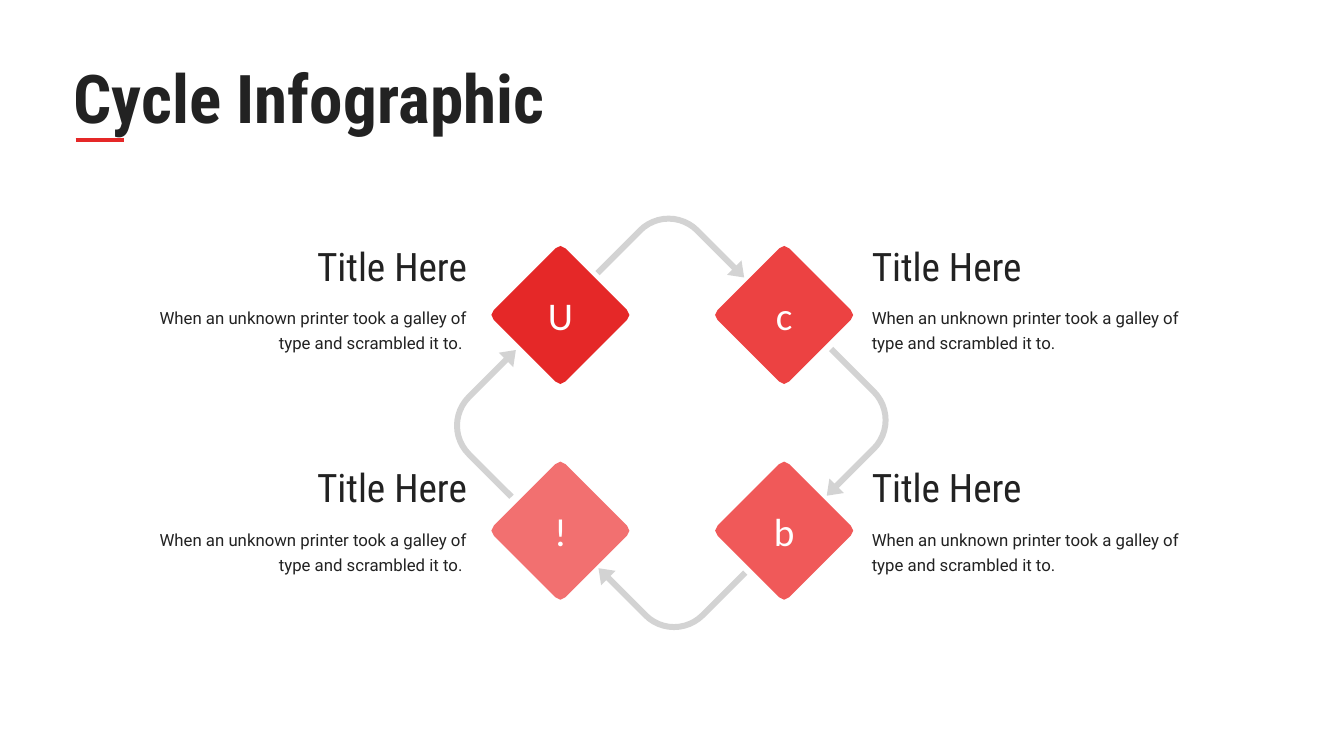
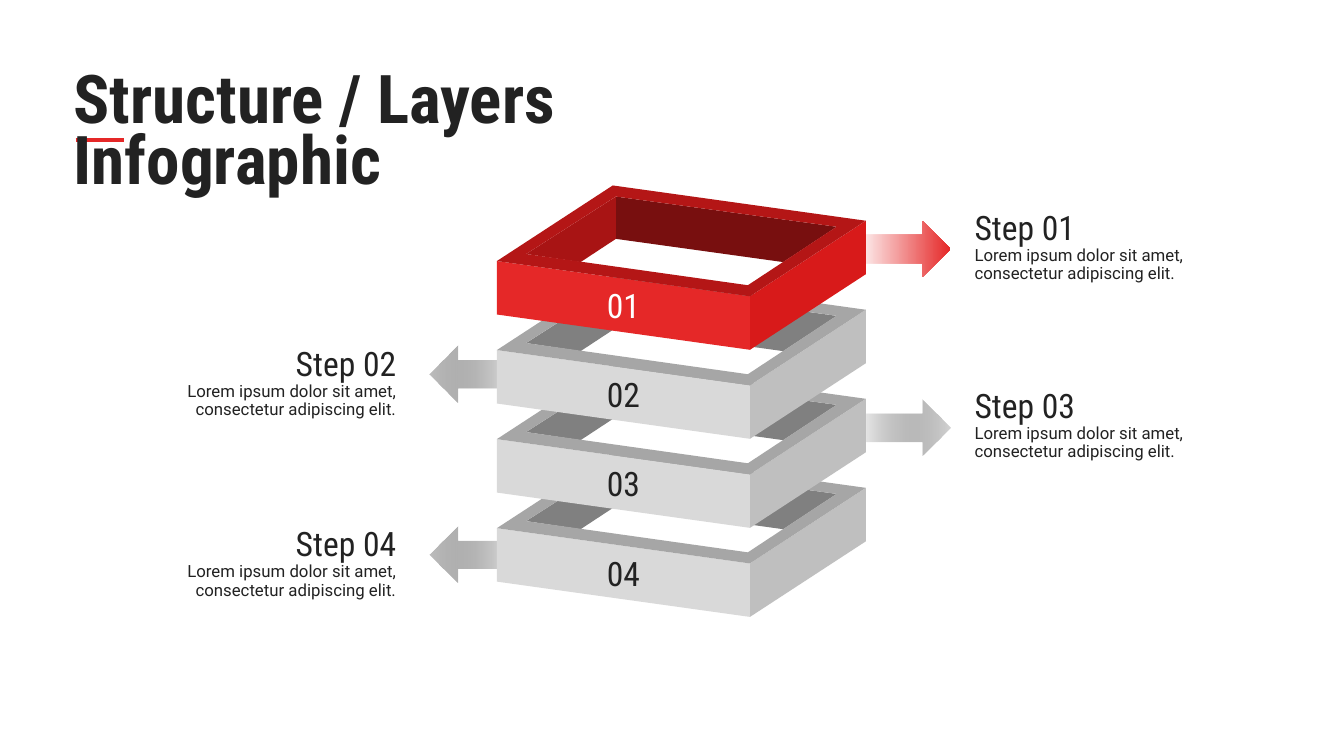
from dataclasses import dataclass
from math import cos, radians, sin

from lxml.etree import SubElement
from pptx import Presentation
from pptx.dml.color import RGBColor
from pptx.enum.shapes import MSO_CONNECTOR, MSO_SHAPE
from pptx.enum.text import MSO_ANCHOR, MSO_AUTO_SIZE, PP_ALIGN
from pptx.oxml.ns import qn
from pptx.util import Emu, Inches, Pt


@dataclass(frozen=True)
class Theme:
    ink: str = "222222"
    white: str = "FFFFFF"
    red: str = "E52828"
    arrow: str = "B2B2B2"
    cycle_reds: tuple = ("E52828", "EC4242", "F05959", "F27070")
    # Layer colours: back wall, right side, left wall, front, rim
    red_layer: tuple = ("780F0F", "D81A1A", "A81414", "E52828", "B41616")
    grey_layer: tuple = ("808080", "BFBFBF", "808080", "D9D9D9", "A6A6A6")
    head_font: str = "Roboto Condensed"
    body_font: str = "Roboto"
    icon_font: str = "Calibri"
    title_size: int = 48
    heading_size: int = 28
    step_size: int = 24
    body_size: int = 12


THEME = Theme()


@dataclass(frozen=True)
class Box:
    """A region in inches; inner() gives a part relative to its corner."""
    left: float
    top: float
    width: float
    height: float

    def inner(self, left, top, width, height):
        return Box(self.left + left, self.top + top, width, height)

    def around(self, x, y, width, height):
        """A part centred at an offset from the middle of the region."""
        return self.inner(self.width / 2 + x - width / 2,
                          self.height / 2 + y - height / 2, width, height)

    def point(self, x, y):
        return Inches(self.left + x), Inches(self.top + y)

    @property
    def emu(self):
        return [Inches(value) for value in
                (self.left, self.top, self.width, self.height)]


TITLE_BOX = Box(0.63, 0.7, 7.79, 0.84)
CYCLE_BOX = Box(1.45, 2.1, 10.44, 4.19)
STACK_BOX = Box(1.3, 1.84, 11, 4.28)


# Shared drawing helpers

def add_alpha(shape, percents):
    colours = shape.element.spPr.iter(qn("a:srgbClr"))
    for colour, percent in zip(list(colours), percents):
        if percent < 100:
            SubElement(colour, qn("a:alpha"), val=str(percent * 1000))


def paint(shape, colour):
    shape.shadow.inherit = False
    shape.line.fill.background()
    shape.fill.solid()
    shape.fill.fore_color.rgb = RGBColor.from_string(colour)


def paint_gradient(shape, stops):
    shape.shadow.inherit = False
    shape.line.fill.background()
    shape.fill.gradient()
    shape.fill.gradient_angle = 0
    for stop, (colour, _) in zip(shape.fill.gradient_stops, stops):
        stop.color.rgb = RGBColor.from_string(colour)
    add_alpha(shape, [alpha for _, alpha in stops])


def write(frame, paragraphs):
    """Fill a frame from (text, font, size, colour, paragraph format)."""
    frame.word_wrap = True
    for index, (text, font, size, colour, layout) in enumerate(paragraphs):
        para = frame.add_paragraph() if index else frame.paragraphs[0]
        for name, value in layout.items():
            setattr(para, name, value)
        span = para.add_run()
        span.text = text
        for name, value in {"name": font, "size": Pt(size)}.items():
            setattr(span.font, name, value)
        span.font.color.rgb = RGBColor.from_string(colour)


def add_text(page, box, paragraphs):
    shape = page.shapes.add_textbox(*box.emu)
    write(shape.text_frame, paragraphs)
    return shape


def add_outline(shapes, box, contours, colour):
    """Draw closed contours as one shape; a second contour cuts a hole."""
    builder = None
    for contour in contours:
        start, *rest = [box.point(x, y) for x, y in contour]
        if builder is None:
            builder = shapes.build_freeform(*start, scale=1.0)
        else:
            builder.move_to(*start)
        builder.add_line_segments(rest, close=True)
    shape = builder.convert_to_shape()
    paint(shape, colour)
    return shape


def add_title(page, box, title):
    # Accent rule
    rule = page.shapes.add_connector(MSO_CONNECTOR.STRAIGHT,
                                     *box.point(0.12, 0.69), *box.point(0.6, 0.69))
    rule.line.color.rgb = RGBColor.from_string(THEME.red)
    rule.line.width = Pt(3)
    SubElement(rule.element.spPr, qn("a:effectLst"))
    # Title text
    shape = add_text(page, box, [(title, THEME.head_font, THEME.title_size,
                                  THEME.ink, {"line_spacing": 0.75})])
    shape.text_frame.paragraphs[0].runs[0].font.bold = True


# Cycle slide

def diamond_points(reach=0.71, corner=0.05, steps=2):
    """Outline of a diamond with softened tips."""
    points = []
    for angle in (0, 90, 180, 270):
        across, along = cos(radians(angle)), sin(radians(angle))
        for step in range(steps + 1):
            t = step / steps
            side = corner * (2 * t - 1)
            out = reach - corner * ((1 - t) ** 2 + t ** 2)
            points.append((out * along + side * across,
                           side * along - out * across))
    return points


def add_diamond(page, box, x, y, letter, colour):
    centre = box.around(x, y, 0, 0)
    shape = add_outline(page.shapes, centre, [diamond_points()], colour)
    shape.text_frame.vertical_anchor = MSO_ANCHOR.MIDDLE
    write(shape.text_frame, [(letter, THEME.icon_font, THEME.heading_size,
                              THEME.white, {"alignment": PP_ALIGN.CENTER})])


def add_cycle_arrow(page, box, quarter):
    turn = radians(90 * quarter)
    reach_x, reach_y, twist, shift = 1.61, 1.51, 0.02, -0.01
    x = reach_x * sin(turn) + twist * cos(turn) + shift
    y = twist * sin(turn) - reach_y * cos(turn)
    shape = page.shapes.add_shape(MSO_SHAPE.BENT_ARROW,
                                  *box.around(x, y, 1.09, 1.1).emu)
    shape.rotation = 45 + 90 * quarter
    for index, value in enumerate((0.055, 0.093, 0.127, 0.395)):
        shape.adjustments[index] = value
    paint(shape, THEME.arrow)
    add_alpha(shape, [56])


def add_cycle(page, box):
    for quarter in range(4):
        add_cycle_arrow(page, box, quarter)
    # Diamonds and captions, clockwise from top left
    corners = ((-1, -1), (1, -1), (1, 1), (-1, 1))
    for (side, level), letter, colour in zip(corners, "Ucb!", THEME.cycle_reds):
        add_diamond(page, box, side * 1.11, level * 1.07, letter, colour)
        on_left = side < 0
        align = PP_ALIGN.RIGHT if on_left else PP_ALIGN.LEFT
        body = "When an unknown printer took a galley of type and scrambled it to."
        caption = box.inner(0 if on_left else 7.1, 1.57 + level * 1.1, 3.28, 1.05)
        add_text(page, caption, [
            ("Title Here", THEME.head_font, THEME.heading_size, THEME.ink,
             {"alignment": align, "line_spacing": Pt(17.8)}),
            (body + " " * on_left, THEME.body_font, THEME.body_size, THEME.ink,
             {"alignment": align, "line_spacing": 1.25, "space_before": Pt(10)}),
        ])


# Layers slide

def add_layer(page, box, label, colours, label_colour):
    """One open frame seen from above, with its number on the front."""
    depth, wall = 0.53, 0.42
    back, left, front, right = (1.15, 0), (0, 0.75), (2.51, 1.1), (3.66, 0.35)
    hole_back, hole_right = (1.18, 0.11), (3.37, 0.41)
    hole_front, hole_left = (2.49, 0.99), (0.29, 0.68)

    def below(point, drop):
        return point[0], point[1] + drop

    wall_foot = below(hole_back, wall)
    faces = (
        [[hole_right, hole_back, wall_foot, (2.84, 0.76)]],
        [[right, front, below(front, depth), below(right, depth)]],
        [[hole_back, hole_left, (0.83, 0.76), wall_foot]],
        [[front, left, below(left, depth), below(front, depth)]],
        [[hole_back, hole_right, hole_front, hole_left],
         [back, left, front, right]],
    )
    group = page.shapes.add_group_shape()
    shapes = [add_outline(group.shapes, box, face, colour)
              for face, colour in zip(faces, colours)]
    frame = shapes[3].text_frame
    margins = ("margin_left", "margin_top", "margin_right", "margin_bottom")
    for name, value in {**dict.fromkeys(margins, Emu(0)),
                        "vertical_anchor": MSO_ANCHOR.MIDDLE}.items():
        setattr(frame, name, value)
    write(frame, [(label, THEME.head_font, THEME.step_size, label_colour,
                   {"alignment": PP_ALIGN.CENTER, "space_after": Pt(4)})])


def add_step(page, box, label, on_left, top, tip):
    """Arrow and caption beside the stack, the arrow starting at top."""
    kind = MSO_SHAPE.LEFT_ARROW if on_left else MSO_SHAPE.RIGHT_ARROW
    arrow_left = 2.96 if on_left else 7.17
    arrow = page.shapes.add_shape(kind, *box.inner(arrow_left, top, 0.96, 0.56).emu)
    stops = [(THEME.white, 100), tip]
    paint_gradient(arrow, stops[::-1] if on_left else stops)

    align = PP_ALIGN.RIGHT if on_left else PP_ALIGN.LEFT
    left, rise = (0, 0.08) if on_left else (8.27, 0.19)
    caption = add_text(page, box.inner(left, top - rise, 2.73, 0.87), [
        (f"Step {label}", THEME.head_font, THEME.step_size, THEME.ink,
         {"alignment": align}),
        ("Lorem ipsum dolor sit amet, consectetur adipiscing elit.",
         THEME.body_font, THEME.body_size, THEME.ink,
         {"alignment": align, "line_spacing": 0.9}),
    ])
    caption.text_frame.auto_size = MSO_AUTO_SIZE.SHAPE_TO_FIT_TEXT


def add_stack(page, box):
    # Arrow top and tip colour with opacity, from the top step down
    steps = ((0.35, (THEME.red, 100)), (1.59, (THEME.ink, 30)),
             (2.12, (THEME.ink, 20)), (3.38, (THEME.ink, 30)))
    for index, (top, tip) in enumerate(steps):
        add_step(page, box, f"{index + 1:02}", index % 2 == 1, top, tip)
    # Layers from the bottom up, so that each covers the one below
    layer_height = 1.63
    pitch = (box.height - layer_height) / (len(steps) - 1)
    for index in reversed(range(len(steps))):
        add_layer(page, box.inner(3.63, index * pitch, 3.66, layer_height),
                  f"{index + 1:02}",
                  THEME.grey_layer if index else THEME.red_layer,
                  THEME.ink if index else THEME.white)


def main():
    deck = Presentation()
    deck.slide_width, deck.slide_height = Inches(40 / 3), Inches(7.5)
    slides = (("Cycle Infographic", add_cycle, CYCLE_BOX),
              ("Structure / Layers Infographic", add_stack, STACK_BOX))
    for title, add_content, box in slides:
        page = deck.slides.add_slide(deck.slide_layouts[6])
        add_title(page, TITLE_BOX, title)
        add_content(page, box)
    deck.save("out.pptx")


if __name__ == "__main__":
    main()
